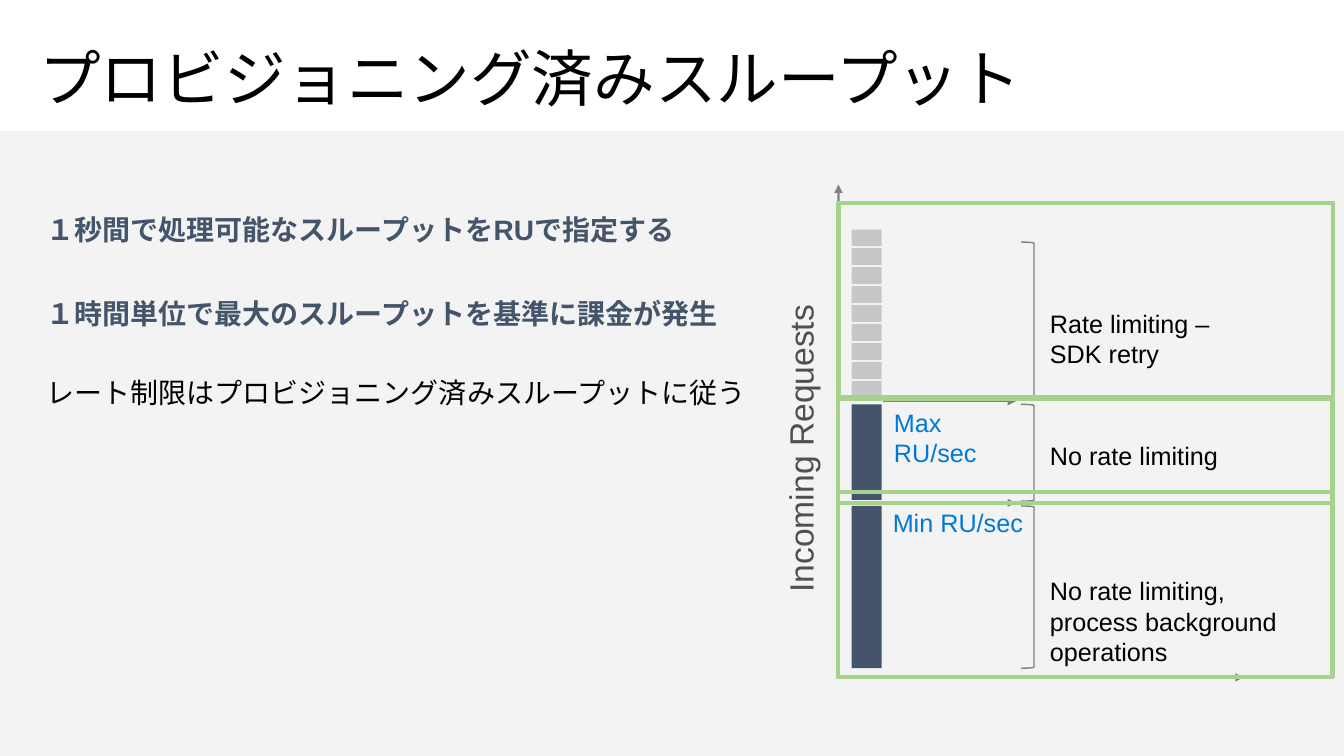
from lxml.etree import SubElement
from pptx import Presentation
from pptx.dml.color import RGBColor
from pptx.enum.lang import MSO_LANGUAGE_ID as LANG
from pptx.enum.shapes import MSO_CONNECTOR, MSO_SHAPE
from pptx.enum.text import MSO_ANCHOR, PP_ALIGN
from pptx.oxml.ns import qn
from pptx.util import Cm, Pt

BLACK = RGBColor(0x00, 0x00, 0x00)
PALE = RGBColor(0xF2, 0xF2, 0xF2)
SILVER = RGBColor(0xC7, 0xC7, 0xC7)
GRAY = RGBColor(0x80, 0x80, 0x80)
DARK = RGBColor(0x50, 0x50, 0x50)
NAVY = RGBColor(0x44, 0x54, 0x6A)
BLUE = RGBColor(0x00, 0x78, 0xD7)
GREEN = RGBColor(0xA9, 0xD1, 0x8E)

deck = Presentation()
deck.slide_width, deck.slide_height = Cm(33.87), Cm(19.05)
slide = deck.slides.add_slide(deck.slide_layouts[6])
shapes = slide.shapes


def add_text(place, lines, size, color, para={}, **font):
    """Add a wrapped text box with one paragraph per line."""
    box = shapes.add_textbox(*map(Cm, place))
    frame = box.text_frame
    frame.word_wrap = True
    frame.text = "\n".join(lines)
    look = {"name": "Arial", "size": Pt(size), **font}
    for item in frame.paragraphs:
        for key, value in para.items():
            setattr(item, key, value)
        run = item.runs[0].font
        run.color.rgb = color
        for key, value in look.items():
            setattr(run, key, value)
    return box


def add_line(ends, color, head=False):
    """Add a straight line, with an arrowhead at its end if head is set."""
    line = shapes.add_connector(MSO_CONNECTOR.STRAIGHT, *map(Cm, ends))
    line.line.color.rgb = color
    line.line.width = Pt(1.5)
    if head:
        SubElement(line.line._get_or_add_ln(), qn("a:tailEnd"), type="triangle")
    SubElement(line._element.spPr, qn("a:effectLst"))


# Background band
band = shapes.add_shape(MSO_SHAPE.RECTANGLE, 0, Cm(3.3), Cm(33.87), Cm(15.75))
band.shadow.inherit = False
band.fill.solid()
band.fill.fore_color.rgb = PALE
band.line.fill.background()
tint = band._element.spPr.find(qn("a:solidFill"))[0]
SubElement(tint, qn("a:alpha"), val="89000")

# Title and body
title = add_text((0.74, 0.81, 32.39, 2.49), ["プロビジョニング済みスループット"], 44, BLACK,
                 {"line_spacing": 0.9}, language_id=LANG.JAPANESE)
title.text_frame.vertical_anchor = MSO_ANCHOR.MIDDLE

points = [
    "１秒間で処理可能なスループットをRUで指定する",
    "１時間単位で最大のスループットを基準に課金が発生",
    "レート制限はプロビジョニング済みスループットに従う",
]
body = add_text((0.76, 4.39, 19.18, 7.26), points, 20, NAVY,
                {"line_spacing": 2.0, "space_before": Pt(12)},
                bold=True, language_id=LANG.JAPANESE)
body.text_frame.margin_left = body.text_frame.margin_right = Cm(0.41)
limit = body.text_frame.paragraphs[-1]
limit.space_before, limit.space_after = Pt(8), Pt(4)
limit.runs[0].font.bold = False
limit.runs[0].font.color.rgb = BLACK

# Request bars: top, height, colour
for top, height, color in [(5.79, 4.24, SILVER), (10.19, 2.41, NAVY), (12.75, 4.09, NAVY)]:
    bar = shapes.add_shape(MSO_SHAPE.RECTANGLE, Cm(21.46), Cm(top), Cm(0.76), Cm(height))
    bar.shadow.inherit = False
    bar.fill.solid()
    bar.fill.fore_color.rgb = color
    bar.line.fill.background()

for step in range(8):
    gap = 6.22 + 0.48 * step
    add_line((21.34, gap, 22.35, gap), PALE)

# Axes and level arrows
for ends in [
    (21.11, 17.07, 21.13, 4.65),
    (21.11, 17.07, 31.34, 17.07),
    (22.25, 10.11, 25.6, 10.11),
    (22.25, 12.67, 25.6, 12.67),
]:
    add_line(ends, GRAY, head=True)

# Labels
axis = add_text((14.94, 10.67, 10.46, 1.27), ["Incoming Requests"], 24, DARK,
                {"alignment": PP_ALIGN.CENTER})
axis.rotation = 270
for place, words, color in [
    ((22.28, 10.13, 3.6, 1.8), "Max RU/sec", BLUE),
    ((22.25, 12.67, 3.94, 1.02), "Min RU/sec", BLUE),
    ((26.21, 7.65, 4.83, 1.8), "Rate limiting – SDK retry", BLACK),
    ((26.21, 10.97, 4.83, 1.02), "No rate limiting", BLACK),
    ((26.21, 14.38, 6.35, 2.57), "No rate limiting, process background operations", BLACK),
]:
    add_text(place, [words], 18, color)

# Brackets and zone frames
bracket = (MSO_SHAPE.RIGHT_BRACKET, GRAY, 1)
zone = (MSO_SHAPE.RECTANGLE, GREEN, 3)
for (kind, color, width), place in [
    (bracket, (25.73, 6.1, 0.33, 3.94)),
    (bracket, (25.73, 10.19, 0.33, 2.44)),
    (bracket, (25.73, 12.75, 0.33, 4.09)),
    (zone, (21.11, 12.4, 12.47, 4.67)),
    (zone, (21.11, 10.06, 12.47, 2.62)),
    (zone, (21.13, 5.11, 12.47, 4.9)),
]:
    edge = shapes.add_shape(kind, *map(Cm, place))
    edge.shadow.inherit = False
    edge.fill.background()
    edge.line.color.rgb = color
    edge.line.width = Pt(width)

deck.save("out.pptx")
